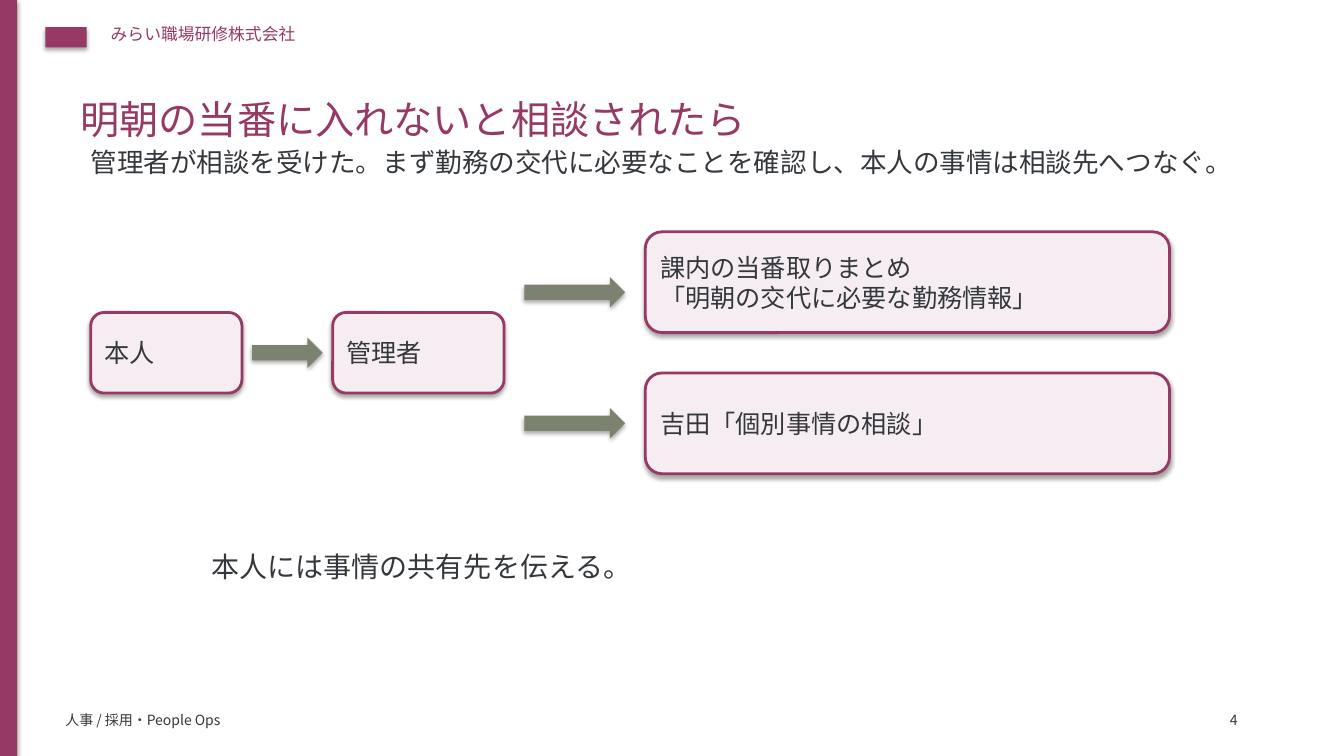
from dataclasses import dataclass

from lxml import etree
from pptx import Presentation
from pptx import util as u
from pptx.dml.color import RGBColor
from pptx.enum import shapes, text
from pptx.oxml import ns

PX = 9144  # EMU per px, 100 px to the inch


@dataclass(frozen=True)
class Theme:
    plum: str = "963A65"
    olive: str = "7B8270"
    blush: str = "F5EDF1"
    ink: str = "34383C"
    font: str = "Noto Sans CJK JP"
    title: int = 28
    closing: int = 20
    lead: int = 19
    box: int = 18
    company: int = 12
    footer: int = 10


@dataclass(frozen=True)
class Area:
    left: int
    top: int
    width: int
    height: int

    def emu(self) -> list[int]:
        return [n * PX for n in (self.left, self.top, self.width, self.height)]


@dataclass(frozen=True)
class Label:
    area: Area
    words: str
    size: int
    color: str


@dataclass(frozen=True)
class Box:
    area: Area
    lines: tuple[str, ...]


THEME = Theme()

SIDE_BAND = Area(0, 0, 17, 750)
HEADER_BLOCK = Area(45, 27, 41, 20)

LABELS = [
    Label(Area(100, 19, 800, 40), "みらい職場研修株式会社", THEME.company, THEME.plum),
    Label(Area(55, 701, 1000, 30), "人事 / 採用・People Ops", THEME.footer, THEME.ink),
    Label(Area(70, 90, 1180, 85), "明朝の当番に入れないと相談されたら", THEME.title, THEME.plum),
    Label(Area(1210, 701, 50, 30), "4", THEME.footer, THEME.ink),
    Label(Area(80, 140, 1170, 75),
          "管理者が相談を受けた。まず勤務の交代に必要なことを確認し、本人の事情は相談先へつなぐ。",
          THEME.lead, THEME.ink),
    Label(Area(200, 540, 900, 60), "本人には事情の共有先を伝える。", THEME.closing, THEME.ink),
]

BOXES = [
    Box(Area(90, 310, 150, 80), ("本人",)),
    Box(Area(330, 310, 170, 80), ("管理者",)),
    Box(Area(640, 230, 520, 100), ("課内の当番取りまとめ", "「明朝の交代に必要な勤務情報」")),
    Box(Area(640, 370, 520, 100), ("吉田「個別事情の相談」",)),
]

ARROWS = [Area(250, 335, 70, 30), Area(520, 275, 100, 30), Area(520, 405, 100, 30)]


def write(frame, lines: tuple[str, ...], *, size: int, color: str,
          anchor=text.MSO_ANCHOR.TOP) -> None:
    frame.word_wrap = True
    frame.vertical_anchor = anchor
    for index, line in enumerate(lines):
        paragraph = frame.add_paragraph() if index else frame.paragraphs[0]
        paragraph.alignment = text.PP_ALIGN.LEFT
        run = paragraph.add_run()
        run.text = line
        run.font.size = u.Pt(size)
        run.font.color.rgb = RGBColor.from_string(color)
        run.font.name = THEME.font
        east_asian = etree.SubElement(run.font._element, ns.qn("a:ea"))
        east_asian.set("typeface", THEME.font)


def style(shape, fill: str, line: str | None = None) -> None:
    """Set fill, outline and the soft shadow below the shape."""
    shape.fill.solid()
    shape.fill.fore_color.rgb = RGBColor.from_string(fill)
    if line:
        shape.line.color.rgb = RGBColor.from_string(line)
        shape.line.width = u.Pt(2)
    else:
        shape.line.fill.background()
    shape.shadow.inherit = False
    effects = shape._element.spPr.find(ns.qn("a:effectLst"))
    shadow = etree.SubElement(effects, ns.qn("a:outerShdw"), blurRad="40000",
                              dist="23000", dir="5400000", rotWithShape="0")
    black = etree.SubElement(shadow, ns.qn("a:srgbClr"), val="000000")
    etree.SubElement(black, ns.qn("a:alpha"), val="35000")


def add_preset(slide, kind, area: Area, fill: str, line: str | None = None):
    shape = slide.shapes.add_shape(kind, *area.emu())
    style(shape, fill, line)
    return shape


def add_label(slide, label: Label) -> None:
    shape = slide.shapes.add_textbox(*label.area.emu())
    write(shape.text_frame, (label.words,), size=label.size, color=label.color)


def add_box(slide, box: Box) -> None:
    shape = add_preset(slide, shapes.MSO_SHAPE.ROUNDED_RECTANGLE, box.area,
                       THEME.blush, THEME.plum)
    write(shape.text_frame, box.lines, size=THEME.box, color=THEME.ink,
          anchor=text.MSO_ANCHOR.MIDDLE)


def main() -> None:
    presentation = Presentation()
    presentation.slide_width = 1333 * PX
    presentation.slide_height = 750 * PX
    slide = presentation.slides.add_slide(presentation.slide_layouts[6])

    # Side band and plain header block
    for area in (SIDE_BAND, HEADER_BLOCK):
        add_preset(slide, shapes.MSO_SHAPE.RECTANGLE, area, THEME.plum)

    # Header, title, closing line and footer
    for label in LABELS:
        add_label(slide, label)

    # Consultation flow
    for box in BOXES:
        add_box(slide, box)
    for area in ARROWS:
        add_preset(slide, shapes.MSO_SHAPE.RIGHT_ARROW, area, THEME.olive)

    presentation.save("out.pptx")


if __name__ == "__main__":
    main()
